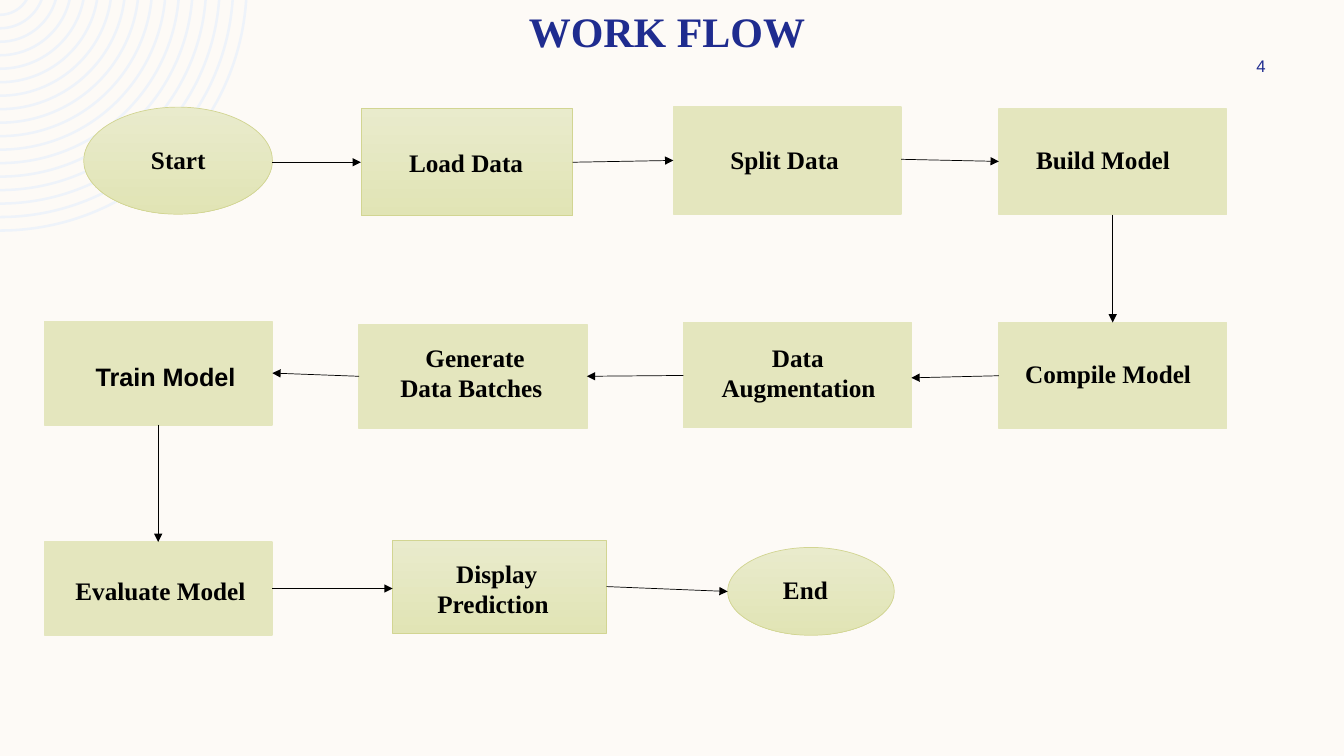
import math

import pptx
import pptx.dml.color
import pptx.enum.shapes
import pptx.enum.text
import pptx.oxml
import pptx.oxml.ns
import pptx.util

Pt = pptx.util.Pt
RGBColor = pptx.dml.color.RGBColor
Shape = pptx.enum.shapes.MSO_SHAPE
Align = pptx.enum.text.PP_ALIGN
Anchor = pptx.enum.text.MSO_ANCHOR

CREAM = RGBColor(0xFD, 0xFA, 0xF6)
PALE_BLUE = RGBColor(0xEE, 0xF3, 0xFA)
NAVY = RGBColor(0x1F, 0x2C, 0x8F)
BLACK = RGBColor(0, 0, 0)
OLIVE = RGBColor(0xE4, 0xE6, 0xBE)
OLIVE_LIGHT = RGBColor(0xE9, 0xEB, 0xCC)
OLIVE_DARK = RGBColor(0xE1, 0xE4, 0xB5)
OLIVE_EDGE = RGBColor(0xD2, 0xD5, 0x92)
SERIF = "Times New Roman"
SANS = "Arial"
DRAWING = pptx.oxml.ns.nsdecls("a")

STEPS = [
    ("Start", "oval", (59.8, 76.5, 134.8, 76.5), (100.8, 99.4, 98.6, 29), (0,)),
    ("Load Data", "shaded", (257.8, 77.5, 151.2, 76.7), (285.1, 101.5, 133.9, 29), (0,)),
    ("Split Data", "plain", (481, 76.5, 162.7, 76.5), (514.6, 99.4, 129.6, 29), (0,)),
    ("Build Model", "plain", (713.5, 77.8, 162.7, 75.6), (733, 99.4, 143.3, 29), (0,)),
    ("Compile Model", "plain", (713.5, 230.4, 162.7, 75.6), (725.2, 252.3, 143.3, 29), (0,)),
    ("Data Augmentation", "plain", (488.2, 230.4, 162.7, 75.2), (508.3, 241, 162.7, 51), (36,)),
    ("Generate\nData Batches", "plain", (256.5, 231.8, 162.7, 74.2), (274.3, 241, 135.4, 51), (22.5, 4.5)),
    ("Train Model", "plain", (31.7, 229.7, 162.7, 73.9), (61.2, 254.2, 115.9, 29), (0,)),
    ("Evaluate Model", "plain", (31.7, 387.2, 162.7, 66.4), (46.8, 407.5, 145.4, 29), (0,)),
    ("Display Prediction", "shaded", (280.5, 385.9, 152.8, 66.2), (305.3, 395.3, 125.3, 51), (13.5,)),
    ("End", "oval", (519.8, 391, 119, 62.8), (552.2, 406.8, 85.7, 29), (0,)),
]
ARROWS = [
    (194.5, 115.9, 257.8, 115.9),
    (409, 115.9, 481, 114.6),
    (643.7, 113.8, 713.5, 115.3),
    (794.8, 153.4, 794.8, 230.4),
    (713.5, 268.4, 651, 269.9),
    (488.2, 268.2, 419.2, 268.8),
    (256.5, 268.8, 194.5, 266.5),
    (113, 303.4, 113, 387.2),
    (194.5, 420.4, 280.5, 420.4),
    (433.3, 419, 519.8, 422.5),
]


class FlowPage:
    def __init__(self, deck):
        self.page = deck.slides.add_slide(deck.slide_layouts[5])
        self.shapes = self.page.shapes
        self.page.background.fill.solid()
        self.page.background.fill.fore_color.rgb = CREAM

    def format_text(self, frame, size, font, color, bold, align):
        for para in frame.paragraphs:
            para.alignment = align
            for span in para.runs:
                span.font.size = Pt(size)
                span.font.name = font
                span.font.bold = bold
                span.font.color.rgb = color

    def title(self, text):
        box = self.shapes.title
        box.left, box.top, box.width, box.height = Pt(56.5), 0, Pt(840), Pt(76.3)
        frame = box.text_frame
        frame.text = text
        frame.auto_size = pptx.enum.text.MSO_AUTO_SIZE.NONE
        frame.vertical_anchor = Anchor.TOP
        frame.margin_top = Pt(4)
        self.format_text(frame, 30, SERIF, NAVY, True, Align.CENTER)

    def label(self, text, area, size=18, font=SERIF, color=BLACK, bold=True,
              align=Align.LEFT, anchor=Anchor.TOP, indents=()):
        box = self.shapes.add_textbox(*map(Pt, area))
        frame = box.text_frame
        frame.word_wrap = True
        frame.vertical_anchor = anchor
        frame.text = text
        self.format_text(frame, size, font, color, bold, align)
        for para, indent in zip(frame.paragraphs, indents):
            if indent:
                para._p.get_or_add_pPr().set("indent", str(Pt(indent)))

    def block(self, style, area):
        kind = Shape.OVAL if style == "oval" else Shape.RECTANGLE
        box = self.shapes.add_shape(kind, *map(Pt, area))
        box.shadow.inherit = False
        if style == "plain":
            box.fill.solid()
            box.fill.fore_color.rgb = OLIVE
        else:
            box.fill.gradient()
            box.fill.gradient_angle = 270
            for stop, color in zip(box.fill.gradient_stops, (OLIVE_LIGHT, OLIVE_DARK)):
                stop.color.rgb = color
        box.line.color.rgb = OLIVE if style == "plain" else OLIVE_EDGE
        box.line.width = Pt(1 if style == "plain" else 0.5)

    def arrow(self, ends):
        line = self.shapes.add_connector(
            pptx.enum.shapes.MSO_CONNECTOR.STRAIGHT, *map(Pt, ends))
        line.line.color.rgb = BLACK
        line.line.width = Pt(0.5)
        head = pptx.oxml.parse_xml(f'<a:tailEnd {DRAWING} type="triangle"/>')
        line.line._get_or_add_ln().append(head)
        line._element.spPr.append(pptx.oxml.parse_xml(f'<a:effectLst {DRAWING}/>'))

    def rings(self, count, outer, step, thickness, rise):
        def arc(radius):
            start = math.asin(rise / radius)
            reach = radius * 4 / 3 * math.tan((math.pi / 2 - start) / 4)
            x = radius * math.cos(start)
            bottom = radius - rise
            return [(x, 0),
                    (x - reach * math.sin(start), reach * math.cos(start)),
                    (reach, bottom), (0, bottom)]

        builder = None
        curves = []
        for index in range(count):
            radius = outer - index * step
            out, back = arc(radius), arc(radius - thickness)[::-1]
            curves += [out[1:], back[1:]]
            if builder is None:
                builder = self.shapes.build_freeform(*back[3], scale=Pt(0.01))
            else:
                builder.move_to(*back[3])
            builder.add_line_segments([out[0], out[3], back[0], back[3]], close=True)
        corner = builder.convert_to_shape()
        segments = corner._element.xpath(".//a:lnTo")
        for segment, points in zip(segments[1::2], curves):
            dots = "".join(f'<a:pt x="{x:.0f}" y="{y:.0f}"/>' for x, y in points)
            curve = pptx.oxml.parse_xml(
                f"<a:cubicBezTo {DRAWING}>{dots}</a:cubicBezTo>")
            segment.getparent().replace(segment, curve)
        corner.shadow.inherit = False
        corner.fill.solid()
        corner.fill.fore_color.rgb = PALE_BLUE
        corner.line.fill.background()


def main():
    deck = pptx.Presentation()
    deck.slide_width, deck.slide_height = Pt(960), Pt(540)
    flow = FlowPage(deck)
    flow.rings(count=17, outer=17710, step=963, thickness=180, rise=1150)
    flow.title("WORK FLOW")
    flow.label("4", (861.8, 36, 77.8, 21.6), size=12, font=SANS, color=NAVY,
               bold=False, align=Align.CENTER, anchor=Anchor.MIDDLE)
    for text, style, area, text_area, indents in STEPS:
        flow.block(style, area)
        flow.label(text, text_area, indents=indents,
                   font=SANS if text == "Train Model" else SERIF)
    for ends in ARROWS:
        flow.arrow(ends)
    deck.save("out.pptx")


if __name__ == "__main__":
    main()
